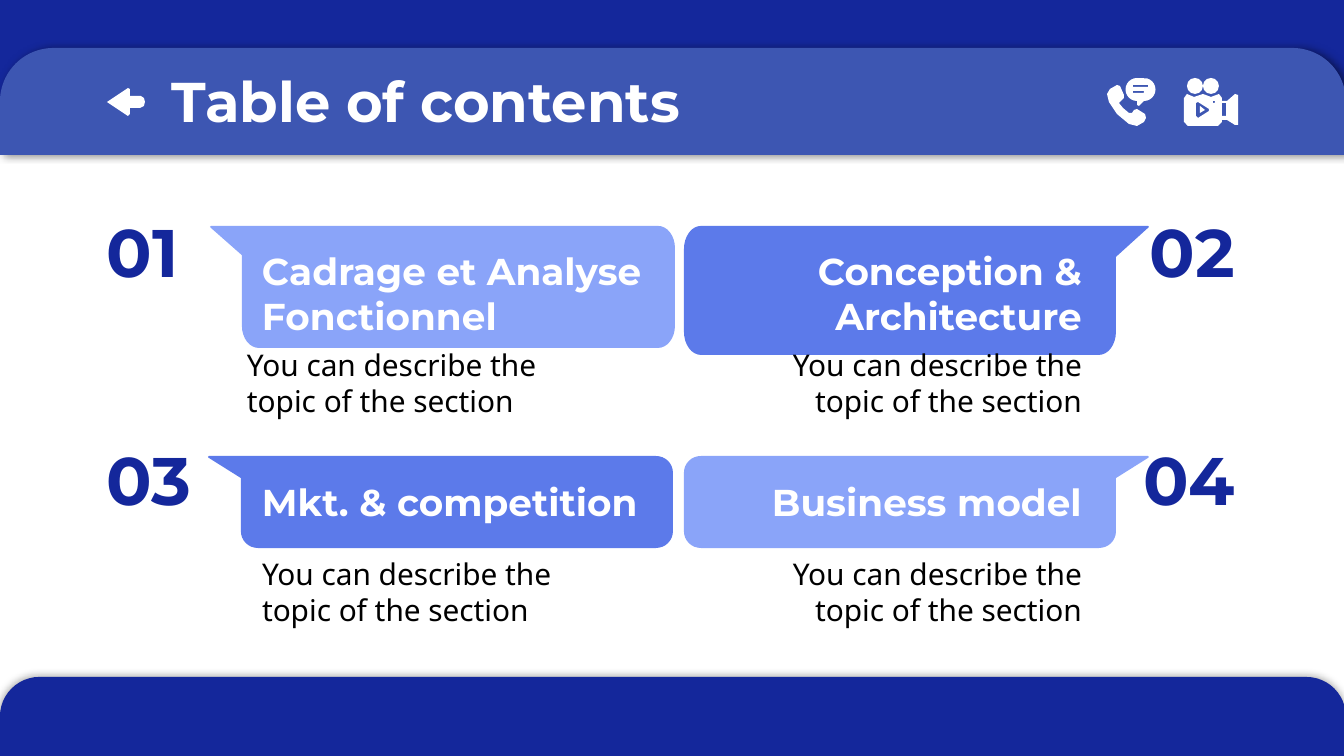
from math import cos, pi, sin

from lxml.etree import SubElement
from pptx import Presentation
from pptx.dml.color import RGBColor
from pptx.enum.shapes import MSO_SHAPE
from pptx.enum.text import MSO_ANCHOR, PP_ALIGN
from pptx.oxml.ns import qn
from pptx.util import Pt

PX = 914400 / 134.4
NAVY, STEEL, BLUE, LIGHT, WHITE = "14279B", "3D56B2", "5C7AEA", "8AA4F9", "FFFFFF"

presentation = Presentation()
presentation.slide_width = round(1344 * PX)
presentation.slide_height = round(756 * PX)
slide = presentation.slides.add_slide(presentation.slide_layouts[6])


def paint(shape, color):
    shape.shadow.inherit = False
    shape.fill.solid()
    shape.fill.fore_color.rgb = RGBColor.from_string(color)
    shape.line.fill.background()


def draw_outline(contours, color):
    """Draw closed contours as one shape; inner contours become holes."""
    scaled = [[(x * PX, y * PX) for x, y in contour] for contour in contours]
    builder = slide.shapes.build_freeform(*scaled[0][0], scale=1.0)
    for index, contour in enumerate(scaled):
        if index:
            builder.move_to(*contour[0])
        builder.add_line_segments(contour[1:], close=True)
    paint(builder.convert_to_shape(), color)


# Bars: kind, left, top, width, height, colour, shadow (opacity %, direction)
bars = [
    (MSO_SHAPE.ROUND_2_SAME_RECTANGLE, 0, 677, 1346, 79, NAVY, (32, 237)),
    (MSO_SHAPE.RECTANGLE, 0, -1, 1346, 137, NAVY, None),
    (MSO_SHAPE.ROUND_2_SAME_RECTANGLE, 0, 48, 1346, 107, STEEL, (50, 0)),
]
for kind, left, top, width, height, color, shadow in bars:
    shape = slide.shapes.add_shape(kind, *(round(n * PX) for n in (left, top, width, height)))
    paint(shape, color)
    if shadow:
        shape.adjustments[0] = 0.5
        shape.adjustments[1] = 0
        opacity, direction = shadow
        effects = shape.element.spPr.find(qn("a:effectLst"))
        outer = SubElement(effects, qn("a:outerShdw"), blurRad=str(Pt(4.5)), dist=str(Pt(1.5)),
                           dir=str(direction * 60000), algn="bl", rotWithShape="0")
        black = SubElement(outer, qn("a:srgbClr"), val="000000")
        SubElement(black, qn("a:alpha"), val=str(opacity * 1000))

# Speech cards: tip, side next to the tip, far side, top, bottom, colour
cards = [
    (1149, 1116, 684, 226, 355, BLUE),
    (1149, 1116, 684, 456, 548, LIGHT),
    (210, 242, 675, 226, 348, LIGHT),
    (208, 241, 673, 456, 548, BLUE),
]
for tip, near, far, top, bottom, color in cards:
    side = 1 if far > near else -1
    radius_x, radius_y = 17 * side, (bottom - top) * 0.18
    corners = [
        (near + radius_x, bottom - radius_y, pi),
        (far - radius_x, bottom - radius_y, pi / 2),
        (far - radius_x, top + radius_y, 0),
    ]
    points = [(tip + side, top), (tip, top + 1), (tip + side, top + 2),
              (near, top + (bottom - top) * 0.24)]
    for center_x, center_y, start in corners:
        for step in range(9):
            angle = start - step * pi / 16
            points.append((center_x + radius_x * cos(angle), center_y + radius_y * sin(angle)))
    draw_outline([points], color)

# Back arrow
draw_outline([[(107, 102), (128, 88), (130, 89), (130, 96), (141, 96), (144, 98), (145, 102),
               (144, 106), (140, 108), (130, 108), (130, 114), (128, 116)]], WHITE)

# Phone icon: handset, then bubble with two text lines cut out
draw_outline([[(1117, 85), (1110, 89), (1107, 94), (1109, 102), (1117, 114), (1129, 124),
               (1137, 126), (1144, 122), (1146, 118), (1145, 114), (1137, 109), (1134, 110),
               (1132, 113), (1129, 113), (1123, 108), (1119, 103), (1121, 101), (1124, 98),
               (1124, 95), (1120, 86)]], WHITE)
bubble = [(1137, 101), (1137, 105), (1139, 106), (1144, 101)]
for center_x, start in ((1144, pi / 2), (1137, -pi / 2)):
    for step in range(1, 12):
        angle = start - step * pi / 12
        bubble.append((center_x + 11.5 * cos(angle), 89.5 + 11.5 * sin(angle)))
    bubble.append((1137, 78) if center_x == 1144 else (1137, 101))
draw_outline([bubble,
              [(1133, 85), (1148, 85), (1148, 87), (1133, 87)],
              [(1133, 91), (1144, 91), (1144, 93), (1133, 93)]], WHITE)

# Camera icon: body with cut-outs and play mark, then two reels
draw_outline([[(1187, 94), (1194, 97), (1203, 94), (1211, 97), (1219, 94), (1222, 98),
               (1222, 101), (1227, 101), (1235, 94), (1238, 95), (1238, 125), (1235, 125),
               (1227, 120), (1222, 120), (1222, 122), (1218, 126), (1188, 126), (1184, 122),
               (1184, 98)],
              [(1196, 103), (1198, 102), (1209, 109), (1209, 111), (1198, 118), (1196, 116)],
              [(1200, 106), (1205, 110), (1200, 113)],
              [(1222, 103), (1226, 103), (1226, 116), (1222, 116)],
              [(1213, 101), (1215, 101), (1215, 103), (1213, 103)]], WHITE)
for left in (1187, 1203):
    reel = slide.shapes.add_shape(MSO_SHAPE.OVAL, *(round(n * PX) for n in (left, 78, 16, 16)))
    paint(reel, WHITE)

# Text: wording, left, top, width, height, style, alignment
styles = {
    "title": ({"name": "Montserrat", "size": Pt(30), "bold": True}, WHITE),
    "number": ({"name": "Montserrat", "size": Pt(36), "bold": True}, NAVY),
    "heading": ({"name": "Montserrat", "size": Pt(20), "bold": True}, WHITE),
    "description": ({"name": "Noto Sans", "size": Pt(16), "bold": False}, "000000"),
}
sections = [
    ("01", "Cadrage et Analyse Fonctionnel", 94, 249, 234, 202, 235, 333),
    ("02", "Conception & Architecture", 1068, 665, 711, 202, 235, 333),
    ("03", "Mkt. & competition", 94, 249, 249, 430, 466, 542),
    ("04", "Business model", 1068, 665, 711, 430, 466, 542),
]
texts = [("Table of contents", 159, 54, 1079, 85, "title", PP_ALIGN.LEFT)]
for number, heading, number_x, heading_x, detail_x, number_y, heading_y, detail_y in sections:
    alignment = PP_ALIGN.LEFT if number_x < 672 else PP_ALIGN.RIGHT
    texts += [
        (number, number_x, number_y, 180, 102, "number", alignment),
        (heading, heading_x, heading_y, 430, 63, "heading", alignment),
        ("You can describe the topic of the section", detail_x, detail_y, 384, 106,
         "description", alignment),
    ]
for wording, left, top, width, height, style, alignment in texts:
    box = slide.shapes.add_textbox(*(round(n * PX) for n in (left, top, width, height)))
    frame = box.text_frame
    frame_format = {"word_wrap": True}
    for margin in ("left", "top", "right", "bottom"):
        frame_format["margin_" + margin] = round(13 * PX)
    frame_format["vertical_anchor"] = MSO_ANCHOR.BOTTOM if style == "number" else MSO_ANCHOR.TOP
    for name, value in frame_format.items():
        setattr(frame, name, value)
    paragraph = frame.paragraphs[0]
    paragraph.alignment = alignment
    if style == "description":
        paragraph.line_spacing = Pt(19.5)
    run = paragraph.add_run()
    run.text = wording
    font_format, color = styles[style]
    for name, value in font_format.items():
        setattr(run.font, name, value)
    run.font.color.rgb = RGBColor.from_string(color)

presentation.save("out.pptx")
